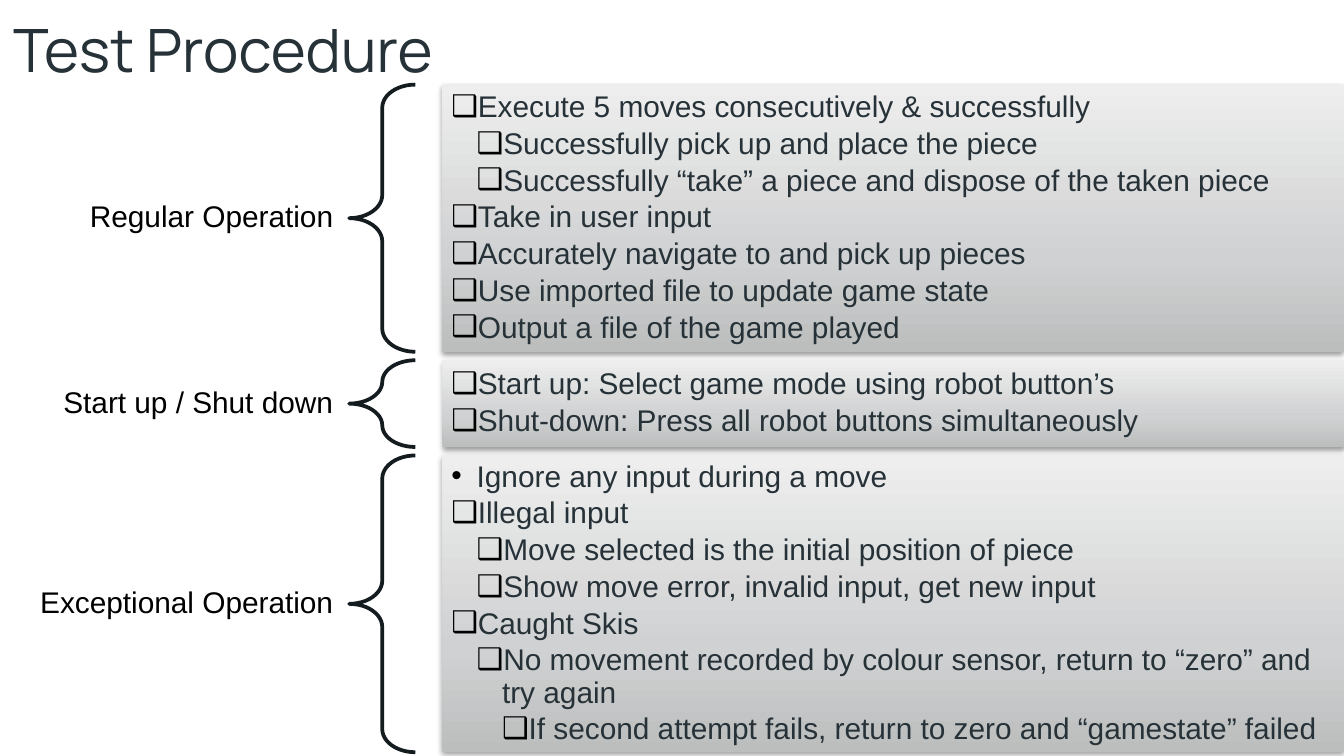
from copy import deepcopy

from lxml import etree
from pptx import Presentation
from pptx import util as u
from pptx.dml.color import RGBColor
from pptx.enum import shapes, text
from pptx.oxml import parse_xml
from pptx.oxml.ns import nsdecls, qn

WHITE = RGBColor(0xFF, 0xFF, 0xFF)
BLACK = RGBColor(0x00, 0x00, 0x00)
SLATE = RGBColor(0x26, 0x32, 0x38)
BRACE = RGBColor(0x15, 0x1C, 0x1F)
GRADIENT = [
    (0, RGBColor(0xBC, 0xBE, 0xBE)),
    (0.35, RGBColor(0xD0, 0xD1, 0xD2)),
    (1, RGBColor(0xEE, 0xEE, 0xEE)),
]
SHADOW = f"""<a:effectLst {nsdecls('a')}>
  <a:outerShdw blurRad="{u.Pt(3.1)}" dist="{u.Pt(1.6)}" dir="5400000" rotWithShape="0">
    <a:srgbClr val="{BLACK}"><a:alpha val="38000"/></a:srgbClr>
  </a:outerShdw>
</a:effectLst>"""

TOP, GAP = 1.6, 0.16
LABEL_LEFT, LABEL_WIDTH, LABEL_HEIGHT = 0.33, 6.27, 0.9
BRACE_LEFT, BRACE_WIDTH = 6.6, 1.25
PANEL_LEFT, PANEL_WIDTH = 8.36, 17.04
INDENT = 0.48

# Each section: label, height in cm, items as (level, bullet, wording)
SECTIONS = [
    ("Regular Operation", 5.05, [
        (0, "❑", "Execute 5 moves consecutively & successfully"),
        (1, "❑", "Successfully pick up and place the piece"),
        (1, "❑", "Successfully “take” a piece and dispose of the taken piece"),
        (0, "❑", "Take in user input"),
        (0, "❑", "Accurately navigate to and pick up pieces"),
        (0, "❑", "Use imported file to update game state"),
        (0, "❑", "Output a file of the game played"),
    ]),
    ("Start up / Shut down", 1.64, [
        (0, "❑", "Start up: Select game mode using robot button’s"),
        (0, "❑", "Shut-down: Press all robot buttons simultaneously"),
    ]),
    ("Exceptional Operation", 5.61, [
        (0, "•", "Ignore any input during a move"),
        (0, "❑", "Illegal input"),
        (1, "❑", "Move selected is the initial position of piece"),
        (1, "❑", "Show move error, invalid input, get new input"),
        (0, "❑", "Caught Skis"),
        (1, "❑", "No movement recorded by colour sensor, return to “zero” and try again"),
        (2, "❑", "If second attempt fails, return to zero and “gamestate” failed"),
    ]),
]


def write(shape, items, size=16, font="Arial", color=SLATE, align=text.PP_ALIGN.LEFT,
          anchor=text.MSO_ANCHOR.MIDDLE, margins=(0.17, 0.18), spacing=0.9, after=0):
    """Fill a shape with (level, bullet, wording) items; margins are (sides, top and bottom)."""
    frame = shape.text_frame
    frame.word_wrap = True
    frame.vertical_anchor = anchor
    frame.margin_left = frame.margin_right = u.Cm(margins[0])
    frame.margin_top = frame.margin_bottom = u.Cm(margins[1])
    for index, (level, bullet, wording) in enumerate(items):
        para = frame.add_paragraph() if index else frame.paragraphs[0]
        para.alignment = align
        para.line_spacing = spacing
        para.space_after = u.Pt(after)
        span = para.add_run()
        span.text = wording
        span.font.size = u.Pt(size)
        span.font.name = font
        span.font.color.rgb = color
        if bullet:
            para.level = level
            props = para._p.get_or_add_pPr()
            props.set("marL", str(u.Cm(INDENT * (level + 1))))
            props.set("indent", str(-u.Cm(INDENT)))
            bullet_color = etree.SubElement(props, qn("a:buClr"))
            etree.SubElement(bullet_color, qn("a:srgbClr"), val=str(BLACK))
            etree.SubElement(props, qn("a:buFont"), typeface="Arial")
            etree.SubElement(props, qn("a:buChar"), char=bullet)


deck = Presentation()
deck.slide_width, deck.slide_height = u.Cm(25.4), u.Cm(14.29)
page = deck.slides.add_slide(deck.slide_layouts[6])
page.background.fill.solid()
page.background.fill.fore_color.rgb = WHITE

title = page.shapes.add_textbox(u.Cm(0), u.Cm(0), u.Cm(10.85), u.Cm(1.7))
write(title, [(0, None, "Test Procedure")], size=32, font="Manrope",
      anchor=text.MSO_ANCHOR.TOP, margins=(0.25, 0.25), spacing=1.0)

top = TOP
for name, height, items in SECTIONS:
    label = page.shapes.add_textbox(
        u.Cm(LABEL_LEFT), u.Cm(top + (height - LABEL_HEIGHT) / 2),
        u.Cm(LABEL_WIDTH), u.Cm(LABEL_HEIGHT))
    write(label, [(0, None, name)], color=BLACK, align=text.PP_ALIGN.RIGHT, margins=(0.3, 0.1))

    brace = page.shapes.add_shape(
        shapes.MSO_SHAPE.LEFT_BRACE,
        u.Cm(BRACE_LEFT), u.Cm(top), u.Cm(BRACE_WIDTH), u.Cm(height))
    brace.adjustments[0] = 0.35
    brace.adjustments[1] = 0.5
    brace.fill.background()
    brace.line.color.rgb = BRACE
    brace.line.width = u.Pt(2)
    brace.shadow.inherit = False

    panel = page.shapes.add_shape(
        shapes.MSO_SHAPE.RECTANGLE,
        u.Cm(PANEL_LEFT), u.Cm(top), u.Cm(PANEL_WIDTH), u.Cm(height))
    panel.line.fill.background()
    panel.fill.gradient()
    panel.fill.gradient_angle = 90
    stop_list = panel._element.spPr.find(".//" + qn("a:gsLst"))
    stop_list.append(deepcopy(stop_list[-1]))
    for stop, (position, color) in zip(panel.fill.gradient_stops, GRADIENT):
        stop.position = position
        stop.color.rgb = color
    panel._element.spPr.append(parse_xml(SHADOW))
    write(panel, items, after=2.4)

    top += height + GAP

deck.save("out.pptx")
